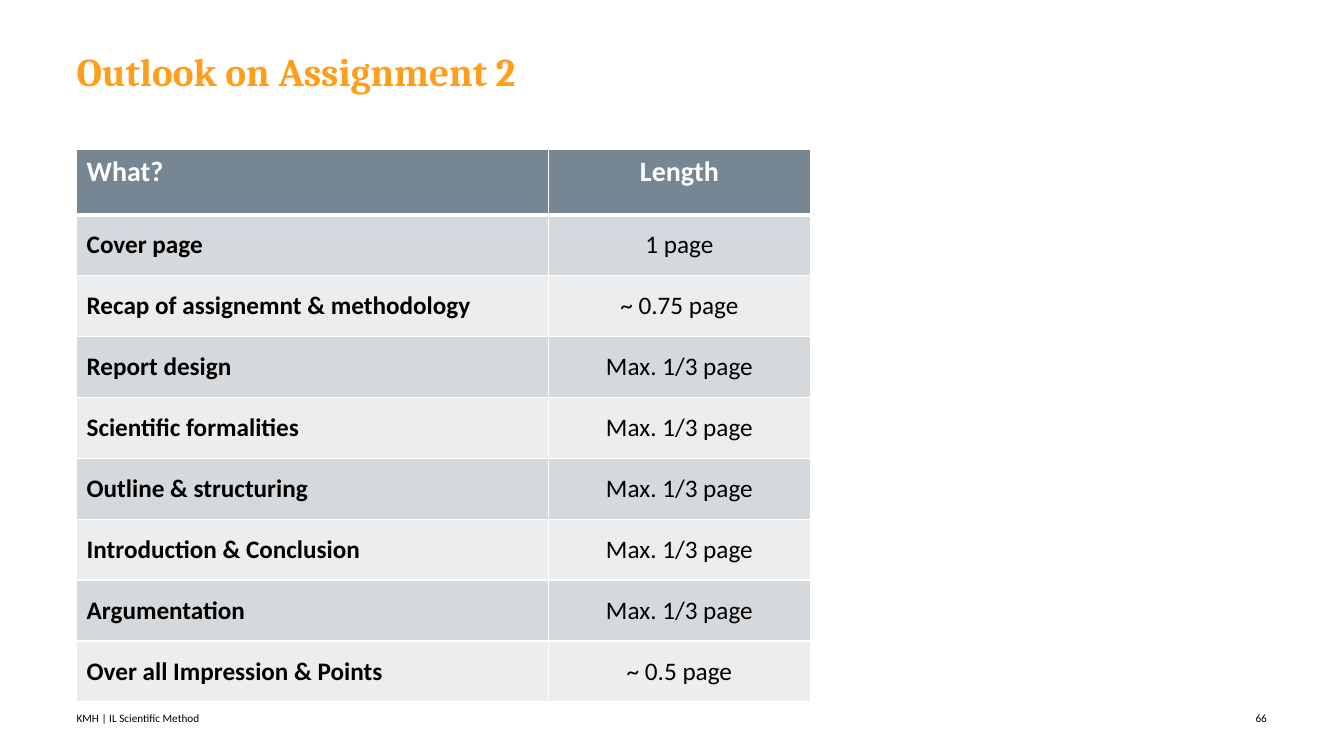
from dataclasses import dataclass

from lxml import etree
from pptx import Presentation
from pptx.dml.color import RGBColor
from pptx.enum.text import MSO_ANCHOR, PP_ALIGN
from pptx.oxml.ns import qn
from pptx.util import Pt

LEFT, CENTER, RIGHT = PP_ALIGN.LEFT, PP_ALIGN.CENTER, PP_ALIGN.RIGHT
TOP, MIDDLE = MSO_ANCHOR.TOP, MSO_ANCHOR.MIDDLE

WHITE, BLACK, ORANGE, SLATE = "FFFFFF", "000000", "FF9E1B", "768692"
BAND_FILLS = ("D6D9DC", "ECEDEE")

MARGIN_LEFT = 54.7
TABLE_TOP = 106.6
COLUMN_WIDTHS = (337, 187.2)
HEADER_HEIGHT, ROW_HEIGHT = 46.8, 43.5
THIN_LINE, HEADER_LINE = 1, 3

ROWS = (
    ("What?", "Length"),
    ("Cover page", "1 page"),
    ("Recap of assignemnt & methodology", "~ 0.75 page"),
    ("Report design", "Max. 1/3 page"),
    ("Scientific formalities", "Max. 1/3 page"),
    ("Outline & structuring", "Max. 1/3 page"),
    ("Introduction & Conclusion", "Max. 1/3 page"),
    ("Argumentation", "Max. 1/3 page"),
    ("Over all Impression & Points", "~ 0.5 page"),
)


@dataclass(frozen=True)
class TextStyle:
    size: float
    color: str = BLACK
    name: str = "Calibri"
    bold: bool = False
    alignment: PP_ALIGN = LEFT
    line_spacing: float = 1.0


@dataclass(frozen=True)
class Label:
    text: str
    left: float
    top: float
    width: float
    height: float
    style: TextStyle
    anchor: MSO_ANCHOR = MIDDLE


LABELS = (
    Label("Outlook on Assignment 2", MARGIN_LEFT, 37.4, 781.2, 62.6,
          TextStyle(28, ORANGE, "Cambria", True, line_spacing=0.9), TOP),
    Label("KMH | IL Scientific Method", MARGIN_LEFT, 506.9, 402.5, 11.5, TextStyle(8)),
    Label("66", 865.4, 506.9, 39.6, 11.5, TextStyle(8, alignment=RIGHT)),
)


def rgb(color: str) -> RGBColor:
    return RGBColor.from_string(color)


def set_attributes(target, values: dict) -> None:
    for name, value in values.items():
        setattr(target, name, value)


def write_text(text_frame, text: str, style: TextStyle) -> None:
    paragraph = text_frame.paragraphs[0]
    set_attributes(paragraph, {"alignment": style.alignment,
                               "line_spacing": style.line_spacing})
    run = paragraph.add_run()
    run.text = text
    set_attributes(run.font, {"name": style.name, "size": Pt(style.size),
                              "bold": style.bold})
    run.font.color.rgb = rgb(style.color)


def add_label(slide, label: Label) -> None:
    shape = slide.shapes.add_textbox(Pt(label.left), Pt(label.top),
                                     Pt(label.width), Pt(label.height))
    set_attributes(shape.text_frame, {
        "word_wrap": True, "vertical_anchor": label.anchor,
        "margin_left": 0, "margin_right": 0, "margin_top": 0, "margin_bottom": 0})
    write_text(shape.text_frame, label.text, label.style)


def add_borders(cell, top: float, bottom: float) -> None:
    properties = cell._tc.get_or_add_tcPr()
    widths = {"a:lnL": THIN_LINE, "a:lnR": THIN_LINE, "a:lnT": top, "a:lnB": bottom}
    for tag, width in widths.items():
        line = etree.SubElement(properties, qn(tag), w=str(Pt(width)))
        fill = etree.SubElement(line, qn("a:solidFill"))
        etree.SubElement(fill, qn("a:srgbClr"), val=WHITE)


def format_cell(cell, text: str, row: int, column: int) -> None:
    header = row == 0
    # Borders precede the fill in the cell properties
    add_borders(cell, HEADER_LINE if row == 1 else THIN_LINE,
                HEADER_LINE if header else THIN_LINE)
    cell.fill.solid()
    cell.fill.fore_color.rgb = rgb(SLATE if header else BAND_FILLS[(row - 1) % 2])
    set_attributes(cell, {
        "vertical_anchor": TOP if header else MIDDLE,
        "margin_left": Pt(7.2), "margin_right": Pt(7.2),
        "margin_top": Pt(3.6), "margin_bottom": Pt(3.6)})
    write_text(cell.text_frame, text, TextStyle(
        size=20 if header else 18, color=WHITE if header else BLACK,
        bold=header or column == 0, alignment=CENTER if column else LEFT))


def add_length_table(slide) -> None:
    height = HEADER_HEIGHT + ROW_HEIGHT * (len(ROWS) - 1)
    table = slide.shapes.add_table(
        len(ROWS), len(COLUMN_WIDTHS), Pt(MARGIN_LEFT), Pt(TABLE_TOP),
        Pt(sum(COLUMN_WIDTHS)), Pt(height)).table
    for column, width in zip(table.columns, COLUMN_WIDTHS):
        column.width = Pt(width)
    for row, texts in enumerate(ROWS):
        table.rows[row].height = Pt(ROW_HEIGHT if row else HEADER_HEIGHT)
        for column, text in enumerate(texts):
            format_cell(table.cell(row, column), text, row, column)


def main() -> None:
    presentation = Presentation()
    set_attributes(presentation, {"slide_width": Pt(960), "slide_height": Pt(540)})
    slide = presentation.slides.add_slide(presentation.slide_layouts[6])

    # Title and footer
    for label in LABELS:
        add_label(slide, label)

    # Assignment parts and their lengths
    add_length_table(slide)
    presentation.save("out.pptx")


if __name__ == "__main__":
    main()
